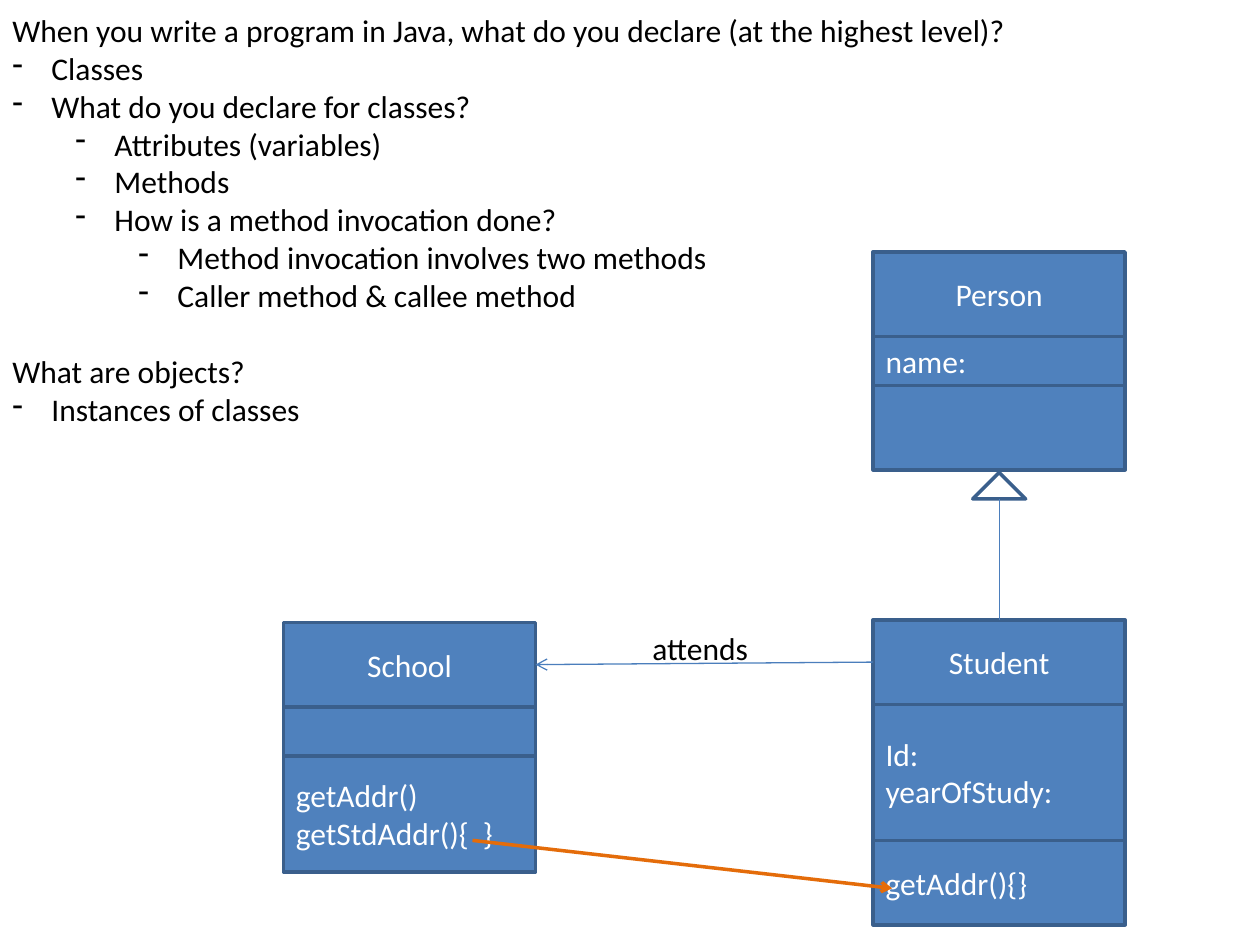
import dataclasses

import pptx
import pptx.dml.color
import pptx.enum.shapes
import pptx.enum.text
import pptx.oxml
import pptx.oxml.ns
import pptx.util
from pptx.util import Inches

SHAPES = pptx.enum.shapes.MSO_SHAPE
ALIGN = pptx.enum.text.PP_ALIGN
ANCHOR = pptx.enum.text.MSO_ANCHOR


@dataclasses.dataclass(frozen=True)
class Theme:
    font: str = "Calibri"
    size: float = 18
    text: str = "000000"
    class_text: str = "FFFFFF"
    class_fill: str = "4F81BD"
    class_line: str = "3A5F8C"
    relation: str = "4B7EBC"
    call: str = "E46C0A"
    thick: float = 2
    thin: float = 0.75


THEME = Theme()
CLASS_WIDTH = 2
STUDENT_LEFT = 6.93
SCHOOL_LEFT = 2.25

# Outline text: (level, wording); level None is a plain line
QUESTIONS = [
    (None, "When you write a program in Java, what do you declare (at the highest level)?"),
    (0, "Classes"),
    (0, "What do you declare for classes?"),
    (1, "Attributes (variables)"),
    (1, "Methods"),
    (1, "How is a method invocation done? "),
    (2, "Method invocation involves two methods"),
    (2, "Caller method & callee method"),
    (None, "What are objects?"),
    (0, "Instances of classes"),
]

# Class diagrams: left, top, then (height, wording) of each compartment
PERSON = (STUDENT_LEFT, 2, [(0.67, "Person"), (0.39, "name:"), (0.67, "")])
STUDENT = (STUDENT_LEFT, 4.92,
           [(0.67, "Student"), (1.08, "Id:\nyearOfStudy:"), (0.67, "getAddr(){}")])
SCHOOL = (SCHOOL_LEFT, 4.94,
          [(0.67, "School"), (0.39, ""), (0.92, "getAddr()\ngetStdAddr(){  }")])


def rgb(value):
    return pptx.dml.color.RGBColor.from_string(value)


def style_runs(paragraph, color):
    for run in paragraph.runs:
        run.font.name = THEME.font
        run.font.size = pptx.util.Pt(THEME.size)
        run.font.color.rgb = rgb(color)


def set_line(item, color, width):
    item.line.color.rgb = rgb(color)
    item.line.width = pptx.util.Pt(width)


def add_label(slide, left, top, width, height):
    label = slide.shapes.add_textbox(Inches(left), Inches(top), Inches(width), Inches(height))
    label.text_frame.word_wrap = False
    label.text_frame.auto_size = pptx.enum.text.MSO_AUTO_SIZE.SHAPE_TO_FIT_TEXT
    return label.text_frame


def set_dash(paragraph, level):
    paragraph.level = level
    properties = paragraph._p.get_or_add_pPr()
    properties.set("marL", str(Inches(0.31 + 0.5 * level)))
    properties.set("indent", str(Inches(-0.31)))
    bullet = pptx.oxml.parse_xml(
        '<a:buChar %s char="-"/>' % pptx.oxml.ns.nsdecls("a"))
    properties.append(bullet)


def add_questions(slide):
    frame = add_label(slide, 0, 0.04, 8.18, 3.74)
    frame.text = "\n".join(wording for _, wording in QUESTIONS)
    for index, (level, _) in enumerate(QUESTIONS):
        paragraph = frame.paragraphs[index]
        style_runs(paragraph, THEME.text)
        if level is not None:
            set_dash(paragraph, level)
        elif index > 0:
            # Gap of one line between the two questions
            paragraph.space_before = pptx.util.Pt(22)


def add_class(slide, left, top, compartments):
    """Stack the compartments and return the one with the class name."""
    boxes = []
    for height, wording in compartments:
        box = slide.shapes.add_shape(
            SHAPES.RECTANGLE, Inches(left), Inches(top), Inches(CLASS_WIDTH), Inches(height))
        box.shadow.inherit = False
        box.fill.solid()
        box.fill.fore_color.rgb = rgb(THEME.class_fill)
        set_line(box, THEME.class_line, THEME.thick)
        box.text_frame.text = wording
        box.text_frame.word_wrap = True
        box.text_frame.vertical_anchor = ANCHOR.MIDDLE
        for paragraph in box.text_frame.paragraphs:
            paragraph.alignment = ALIGN.LEFT if boxes else ALIGN.CENTER
            style_runs(paragraph, THEME.class_text)
        boxes.append(box)
        top += height
    return boxes[0]


def add_link(slide, start, end, color, width, arrow=False):
    link = slide.shapes.add_connector(
        pptx.enum.shapes.MSO_CONNECTOR.STRAIGHT, *map(Inches, start + end))
    set_line(link, color, width)
    if arrow:
        link.line._get_or_add_ln().append(pptx.oxml.parse_xml(
            '<a:tailEnd %s type="arrow"/>' % pptx.oxml.ns.nsdecls("a")))
    link._element.spPr.append(pptx.oxml.parse_xml(
        "<a:effectLst %s/>" % pptx.oxml.ns.nsdecls("a")))
    return link


def add_inheritance(slide):
    middle = STUDENT_LEFT + CLASS_WIDTH / 2
    triangle = slide.shapes.add_shape(
        SHAPES.ISOSCELES_TRIANGLE, Inches(middle - 0.21), Inches(3.75), Inches(0.42), Inches(0.21))
    triangle.shadow.inherit = False
    triangle.fill.background()
    set_line(triangle, THEME.class_line, THEME.thick)
    add_link(slide, (middle, 3.96), (middle, 4.92), THEME.relation, THEME.thin)


def add_association(slide, student, school):
    attends = add_link(slide, (STUDENT_LEFT, 5.25), (SCHOOL_LEFT + CLASS_WIDTH, 5.28),
                       THEME.relation, THEME.thin, arrow=True)
    attends.begin_connect(student, 1)
    attends.end_connect(school, 3)


def main():
    presentation = pptx.Presentation()
    presentation.slide_width = Inches(10)
    presentation.slide_height = Inches(7.5)
    slide = presentation.slides.add_slide(presentation.slide_layouts[6])

    # Questions and answers
    add_questions(slide)

    # Classes and their relations
    add_class(slide, *PERSON)
    student = add_class(slide, *STUDENT)
    add_inheritance(slide)
    school = add_class(slide, *SCHOOL)
    add_association(slide, student, school)

    # Method call from School to Student
    add_link(slide, (3.75, 6.67), (7.08, 7.05), THEME.call, THEME.thick, arrow=True)

    # Name of the association
    attends = add_label(slide, 5.08, 4.94, 0.97, 0.4)
    attends.text = "attends"
    style_runs(attends.paragraphs[0], THEME.text)

    presentation.save("out.pptx")


main()
